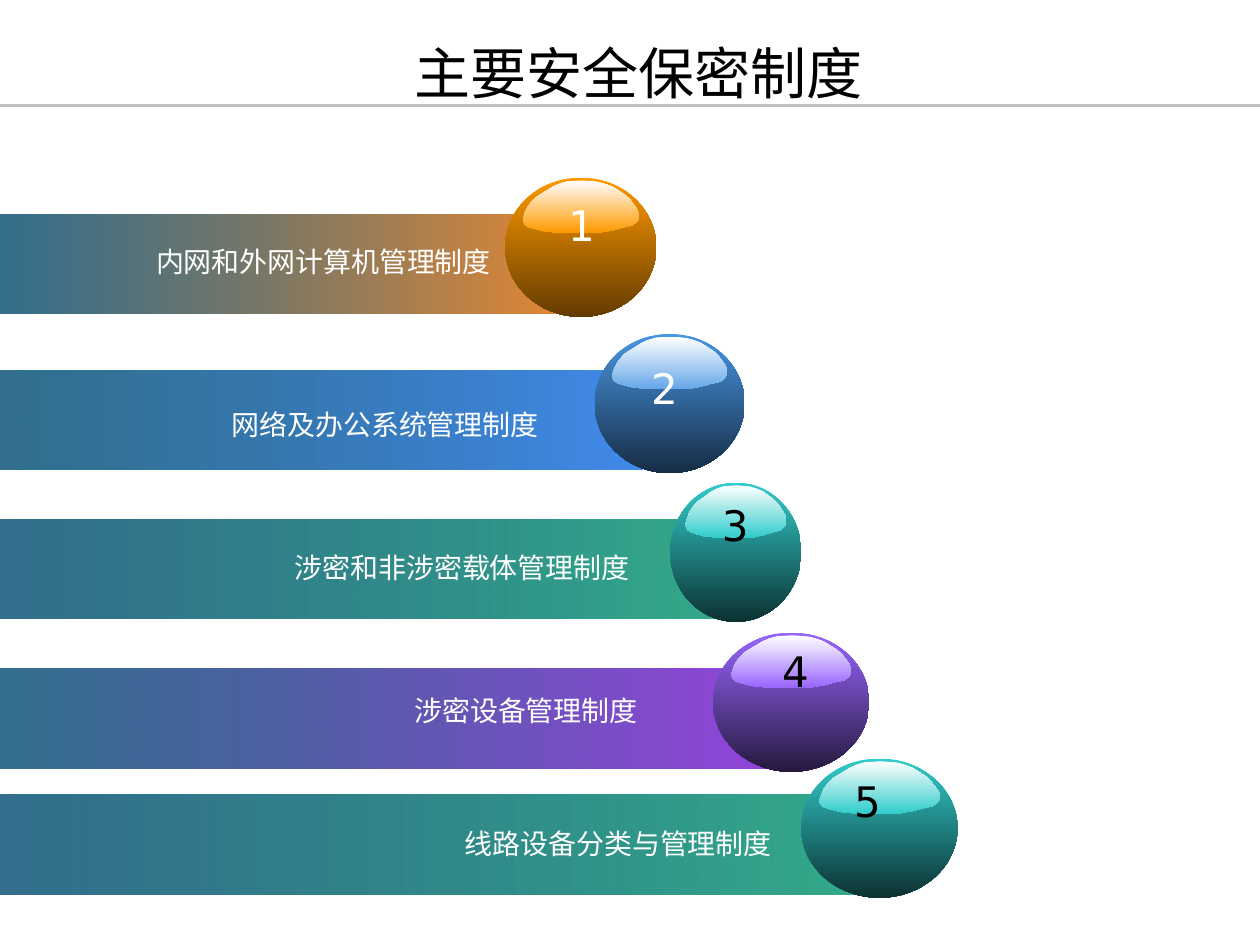
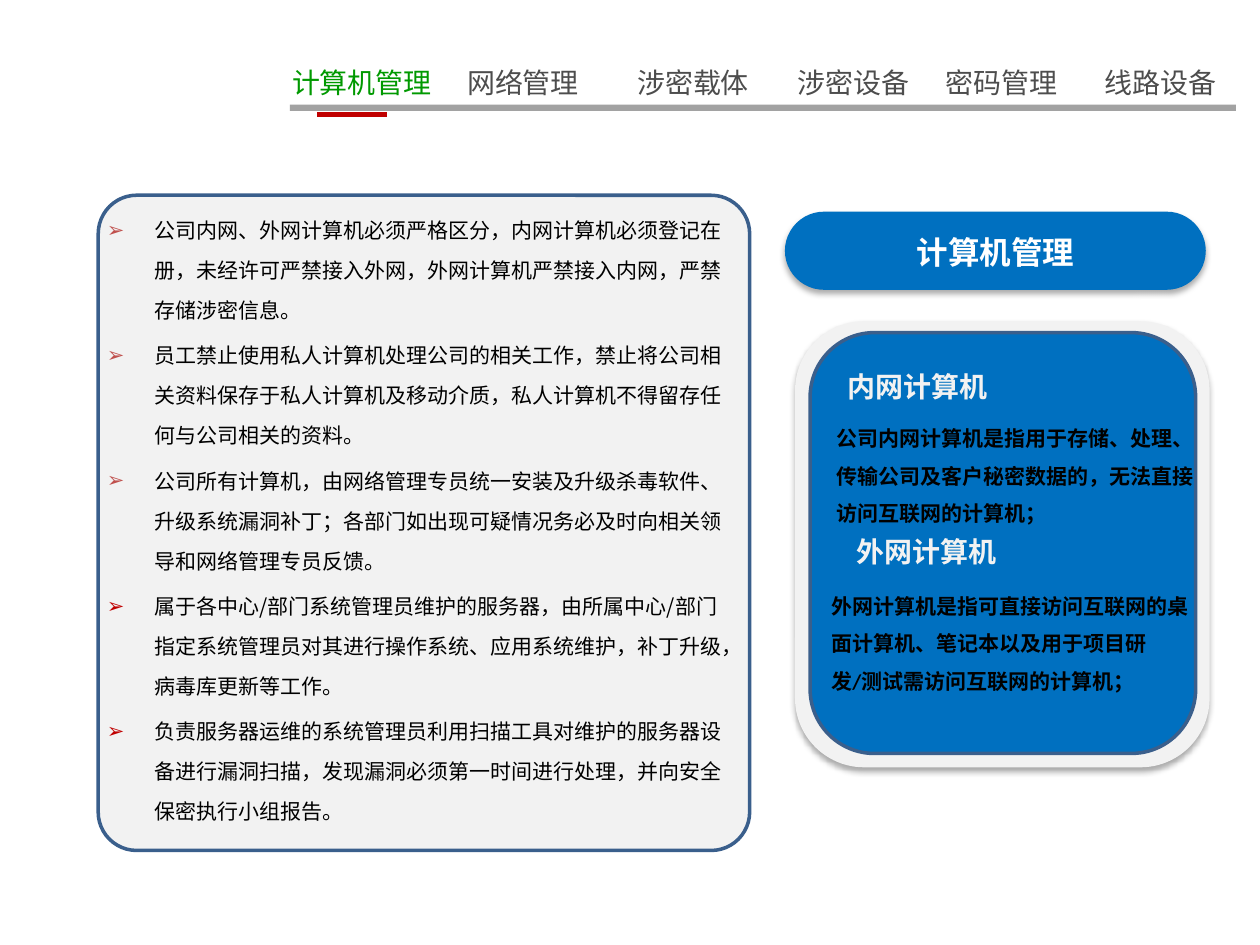
from collections import namedtuple

from lxml.etree import SubElement
from pptx import Presentation
from pptx.dml.color import RGBColor
from pptx.enum.shapes import MSO_CONNECTOR, MSO_SHAPE
from pptx.enum.text import MSO_ANCHOR, MSO_AUTO_SIZE, PP_ALIGN
from pptx.oxml.ns import qn
from pptx.util import Emu, Inches, Pt

COLORS = {
    "white": "FFFFFF", "black": "000000", "rule": "BFBFBF", "bar": "7F7F7F",
    "nav": "4D4D4D", "active": "009900", "marker": "C00000", "bullet": "C0504D",
    "panel": "F2F2F2", "blue": "0070C0", "outline": "3A5F8C", "band": "004B70",
}
CJK = "Noto Sans CJK SC"
COLS, ROWS = 100, 75
CELL = Inches(10) // COLS

# Outline of the glossy highlight, in percent of its box
GLOSS = [
    (99, 57), (100, 63), (100, 73), (98, 79), (94, 86), (86, 90), (78, 95), (68, 99),
    (60, 100), (36, 100), (27, 99), (18, 97), (11, 93), (5, 89), (2, 85), (0, 76),
    (2, 62), (4, 52), (7, 43), (11, 33), (16, 26), (21, 19), (26, 12), (31, 7),
    (38, 2), (44, 1), (51, 0), (57, 1), (65, 3), (71, 7), (77, 12), (82, 19),
    (88, 28), (92, 36), (95, 45),
]


class Box(namedtuple("Box", "x y w h")):
    """A region measured in grid cells."""

    def at(self, x, y, w, h):
        return Box(self.x + x, self.y + y, w, h)

    def share(self, x, y, w, h):
        return self.at(x * self.w, y * self.h, w * self.w, h * self.h)

    def emu(self):
        return [Emu(round(v * CELL)) for v in self]


PAGE = Box(0, 0, COLS, ROWS)


def rgb(color):
    return RGBColor.from_string(COLORS.get(color, color))


def set_alpha(shape, percent):
    color = shape._element.spPr.find(".//" + qn("a:srgbClr"))
    SubElement(color, qn("a:alpha"), val=str(percent * 1000))


def paint(shape, fill, fade_to=None, angle=0, outline=None):
    shape.shadow.inherit = False
    if fade_to:
        shape.fill.gradient()
        shape.fill.gradient_angle = angle
        for stop, color in zip(shape.fill.gradient_stops, (fill, fade_to)):
            stop.color.rgb = rgb(color)
    else:
        shape.fill.solid()
        shape.fill.fore_color.rgb = rgb(fill)
    if outline:
        shape.line.color.rgb = rgb(outline)
        shape.line.width = Pt(2)
    else:
        shape.line.fill.background()
    return shape


def add_block(slide, kind, box, fill, corner=None, **look):
    shape = slide.shapes.add_shape(kind, *box.emu())
    if corner is not None:
        shape.adjustments[0] = corner
    return paint(shape, fill, **look)


def add_drop_shadow(shape):
    effects = shape._element.spPr.find(qn("a:effectLst"))
    shadow = SubElement(effects, qn("a:outerShdw"), blurRad=str(Pt(3.5)),
                        dist=str(Pt(2.2)), dir="5400000", rotWithShape="0")
    color = SubElement(shadow, qn("a:srgbClr"), val=COLORS["black"])
    SubElement(color, qn("a:alpha"), val="32000")


def add_rule(slide, x1, x2, y, color, width):
    ends = [Emu(round(v * CELL)) for v in (x1, y, x2, y)]
    rule = slide.shapes.add_connector(MSO_CONNECTOR.STRAIGHT, *ends)
    rule.line.color.rgb = rgb(color)
    rule.line.width = Pt(width)
    SubElement(rule._element.spPr, qn("a:effectLst"))


def add_bullet(paragraph, color):
    props = paragraph._p.get_or_add_pPr()
    indent = Inches(0.38)
    props.set("marL", str(indent))
    props.set("indent", str(-indent))
    SubElement(SubElement(props, qn("a:buClr")), qn("a:srgbClr"), val=COLORS[color])
    SubElement(props, qn("a:buFont"), typeface="DejaVu Sans")
    SubElement(props, qn("a:buChar"), char="➢")


def write(frame, text, size=16, color="white", font=CJK, bold=False, leading=1.3,
          align=PP_ALIGN.LEFT, wrap=False, grow=True, bullets=(), gap=0):
    """Fill a text frame, one paragraph for each line of text."""
    frame.word_wrap = wrap
    frame.auto_size = MSO_AUTO_SIZE.SHAPE_TO_FIT_TEXT if grow else MSO_AUTO_SIZE.NONE
    for i, line in enumerate(text.split("\n")):
        paragraph = frame.add_paragraph() if i else frame.paragraphs[0]
        if bullets:
            add_bullet(paragraph, bullets[i])
        paragraph.alignment = align
        paragraph.line_spacing = Pt(round(size * leading, 1))
        if i and gap:
            paragraph.space_before = Pt(gap)
        run = paragraph.add_run()
        run.text = line
        run.font.size, run.font.bold, run.font.name = Pt(size), bold, font
        run.font.color.rgb = rgb(color)
        SubElement(run._r.get_or_add_rPr(), qn("a:ea"), typeface=CJK)


def add_text(slide, box, text, **style):
    write(slide.shapes.add_textbox(*box.emu()).text_frame, text, **style)


# Slide 1: numbered bands
Rule = namedtuple("Rule", "name top width orb_x orb_w light dark gloss band_end "
                          "name_x name_dy digit_x digit_dy digit_color")
RULES = [
    Rule("内网和外网计算机管理制度", 17, 46.1, 40.1, 12, "FF9900", "643C00", "FF9900",
         "E98931", 11.4, 1.7, 44.1, -1.8, "white"),
    Rule("网络及办公系统管理制度", 29.4, 51, 47.2, 11.9, "4996E3", "162D45", "66A7E8",
         "418AEB", 17.4, 2.2, 50.7, -1.3, "white"),
    Rule("涉密和非涉密载体管理制度", 41.2, 59.9, 53.2, 10.4, "33CCCC", "0C3232", "33CCCC",
         "33AD8A", 22.4, 1.8, 56.3, -2.2, "black"),
    Rule("涉密设备管理制度", 53.1, 64, 56.6, 12.4, "9966FF", "25193E", "9966FF",
         "9942E0", 31.9, 1.2, 61.1, -2.5, "black"),
    Rule("线路设备分类与管理制度", 63.1, 71.6, 63.6, 12.4, "33CCCC", "0C3232", "33CCCC",
         "33AD8A", 35.9, 1.8, 66.8, -2.2, "black"),
]


def add_orb(slide, box, rule):
    add_block(slide, MSO_SHAPE.OVAL, box, rule.light, fade_to=rule.dark, angle=270)
    left, top, width, height = box.share(0.115, 0.02, 0.77, 0.375).emu()
    points = [(left + width * x // 100, top + height * y // 100) for x, y in GLOSS]
    outline = slide.shapes.build_freeform(*points[0])
    outline.add_line_segments(points[1:], close=True)
    paint(outline.convert_to_shape(), "white", fade_to=rule.gloss, angle=270)


def add_band(slide, box, number, rule):
    band = add_block(slide, MSO_SHAPE.RECTANGLE, box, "band", fade_to=rule.band_end)
    set_alpha(band, 80)
    add_orb(slide, box.at(rule.orb_x, -2.9, rule.orb_w, 11.05), rule)
    add_text(slide, box.at(rule.digit_x, rule.digit_dy, 4.5, 5), str(number), size=24,
             color=rule.digit_color, font="DejaVu Sans", leading=1.25)
    add_text(slide, box.at(rule.name_x, rule.name_dy, 2.23 * len(rule.name) + 2, 3.7),
             rule.name)


def build_overview(slide, box):
    add_rule(slide, box.x, box.x + box.w, box.y + 8.4, "rule", 1.5)
    add_text(slide, box.at(31.9, 2.1, 43.3, 11.7), "主要安全保密制度", size=32,
             color="black", wrap=True, grow=False)
    for number, rule in enumerate(RULES, 1):
        add_band(slide, box.at(0, rule.top, rule.width, 7.9), number, rule)


# Slide 2: navigation, requirements and definitions
TABS = {"计算机管理": 0, "网络管理": 13.9, "涉密载体": 27.4, "涉密设备": 40.1,
        "密码管理": 51.9, "线路设备": 64.5}
REQUIREMENTS = "\n".join([
    "公司内网、外网计算机必须严格区分，内网计算机必须登记在册，未经许可严禁接入外网，外网计算机严禁接入内网，严禁存储涉密信息。",
    "员工禁止使用私人计算机处理公司的相关工作，禁止将公司相关资料保存于私人计算机及移动介质，私人计算机不得留存任何与公司相关的资料。",
    "公司所有计算机，由网络管理专员统一安装及升级杀毒软件、升级系统漏洞补丁；各部门如出现可疑情况务必及时向相关领导和网络管理专员反馈。",
    "属于各中心/部门系统管理员维护的服务器，由所属中心/部门指定系统管理员对其进行操作系统、应用系统维护，补丁升级，病毒库更新等工作。",
    "负责服务器运维的系统管理员利用扫描工具对维护的服务器设备进行漏洞扫描，发现漏洞必须第一时间进行处理，并向安全保密执行小组报告。",
])
DEFINITIONS = [
    ("内网计算机", 4, 11.8, 3.1, 15.5,
     "公司内网计算机是指用于存储、处理、传输公司及客户秘密数据的，无法直接访问互联网的计算机；"),
    ("外网计算机", 4.7, 24.9, 2.7, 28.8,
     "外网计算机是指可直接访问互联网的桌面计算机、笔记本以及用于项目研发/测试需访问互联网的计算机；"),
]


def add_navigation(slide, box, active):
    bar = add_block(slide, MSO_SHAPE.RECTANGLE, box.at(0.8, 3.85, 75.1, 0.5), "bar")
    set_alpha(bar, 72)
    for tab, x in TABS.items():
        add_text(slide, box.at(x, 0, 2.23 * len(tab) + 2, 3.7), tab,
                 color="active" if tab == active else "nav")
    add_rule(slide, box.x + 3, box.x + 8.5, box.y + 4.65, "marker", 3)


def add_requirements(slide, box):
    add_block(slide, MSO_SHAPE.ROUNDED_RECTANGLE, box, "panel", corner=0.059,
              outline="outline")
    add_text(slide, box.at(-0.3, 0.1, box.w, box.h), REQUIREMENTS, size=12, color="black",
             leading=1.905, wrap=True, grow=False, gap=2.85,
             bullets=["bullet"] * 3 + ["marker"] * 2)


def add_definitions(slide, box, topic):
    # Heading pill
    pill = add_block(slide, MSO_SHAPE.ROUNDED_RECTANGLE, box.at(0, 0, 33.4, 6.2), "blue",
                     corner=0.5)
    add_drop_shadow(pill)
    pill.text_frame.vertical_anchor = MSO_ANCHOR.MIDDLE
    write(pill.text_frame, topic, size=18, font="Calibri", bold=True,
          align=PP_ALIGN.CENTER, wrap=True, grow=False)
    # Card
    frame = add_block(slide, MSO_SHAPE.ROUNDED_RECTANGLE, box.at(0.8, 8.7, 32.9, 35.4),
                      "panel")
    add_drop_shadow(frame)
    add_block(slide, MSO_SHAPE.ROUNDED_RECTANGLE, box.at(2, 9.6, 30.6, 33.4), "blue",
              outline="outline")
    for term, term_x, term_y, body_x, body_y, body in DEFINITIONS:
        add_text(slide, box.at(term_x, term_y, 13.3, 3.7), term, color="panel",
                 font="Calibri", bold=True)
        add_text(slide, box.at(body_x, body_y, 30.5, 10), body, size=12, color="black",
                 font="Calibri", bold=True, leading=1.79, wrap=True)


def build_detail(slide, box):
    topic = "计算机管理"
    add_definitions(slide, box.at(62.3, 16.8, 33.7, 44.1), topic)
    add_navigation(slide, box.at(22.2, 4.45, 76, 5), topic)
    add_requirements(slide, box.at(7.8, 15.5, 51.7, 52))


def main():
    deck = Presentation()
    deck.slide_width, deck.slide_height = COLS * CELL, ROWS * CELL
    for build in (build_overview, build_detail):
        build(deck.slides.add_slide(deck.slide_layouts[6]), PAGE)
    deck.save("out.pptx")


if __name__ == "__main__":
    main()
